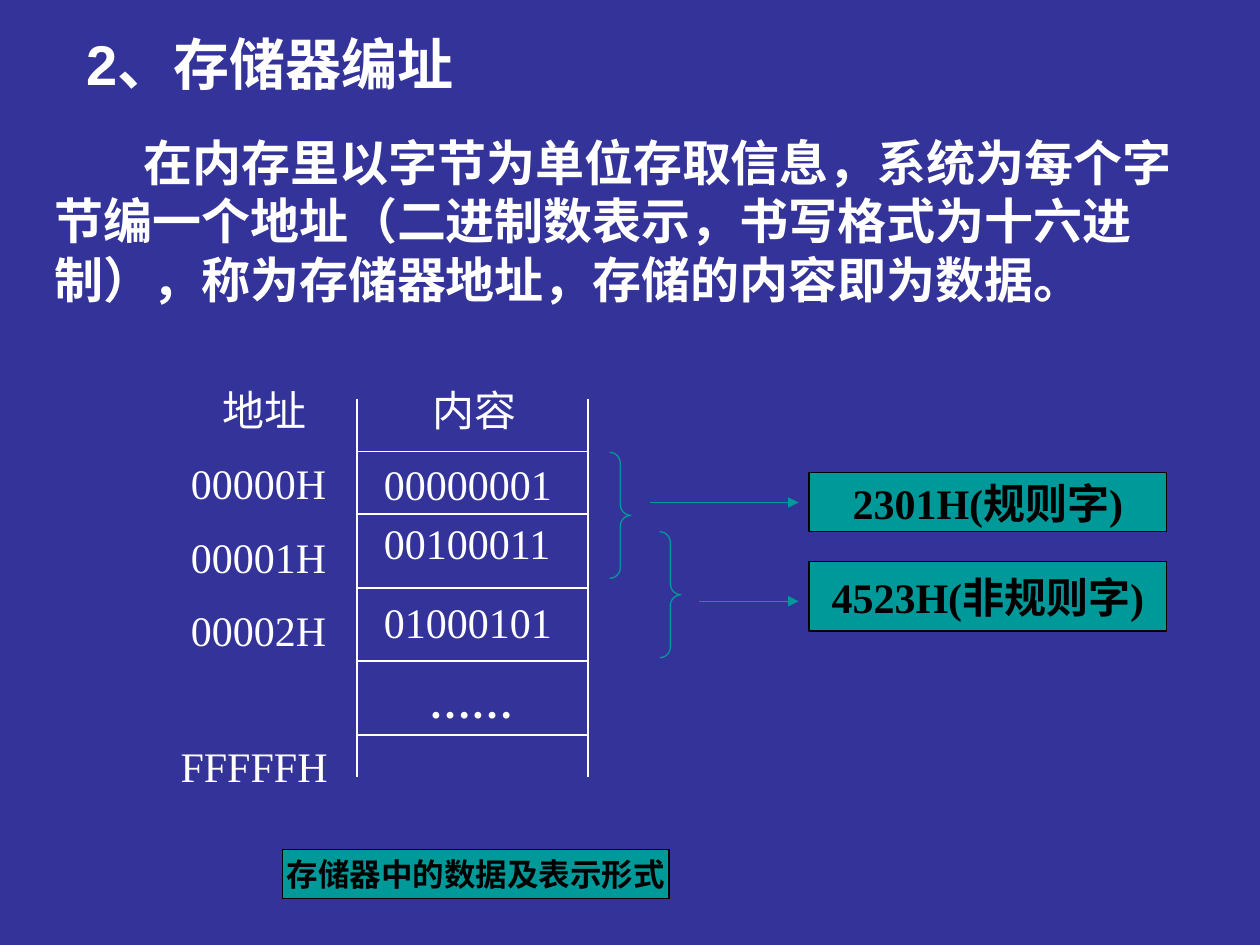
from lxml.etree import SubElement
from pptx import Presentation
from pptx.dml.color import RGBColor
from pptx.enum.shapes import MSO_CONNECTOR as Link, MSO_SHAPE as Preset
from pptx.enum.text import MSO_ANCHOR as Anchor, PP_ALIGN as Align
from pptx.oxml.ns import qn
from pptx.util import Cm, Pt

COLORS = {"back": "333399", "light": "FFFFFF", "dark": "000000", "teal": "009999"}
TITLE = "2、存储器编址"
BODY = ("在内存里以字节为单位存取信息，系统为每个字节编一个地址（二进制数表示，"
        "书写格式为十六进制），称为存储器地址，存储的内容即为数据。")

# All places are in centimetres.
HEADINGS = [("地址", 4.23), ("内容", 8.47)]
ADDRESSES = ["00000H", "00001H", "00002H"]
LAST_ADDRESS = "FFFFFH"
CONTENTS = [("00000001", 9.12), ("00100011", 10.31), ("01000101", 11.91)]
ELLIPSIS = ("……", 13.51)
LABELS = [  # text, left, top, width, height, size
    ("存储器中的数据及表示形式", 5.69, 17.12, 7.8, 1, 18),
    ("2301H(规则字)", 16.31, 9.53, 7.21, 1.19, 24),
    ("4523H(非规则字)", 16.31, 11.32, 7.21, 1.4, 24),
]
BRACES = [(12.29, 9.12), (13.3, 10.72)]
ARROWS = [(13.1, 10.13), (14.1, 12.12)]  # start, height on the slide
ARROW_END = 16.1

MEMORY_LEFT, MEMORY_RIGHT = 7.2, 11.85
MEMORY_TOP, MEMORY_BOTTOM = 8.05, 15.67
FIRST_RULE, ROW_STEP = 9.1, 1.48
RULES = [FIRST_RULE] + [10.37 + ROW_STEP * row for row in range(4)]


def color(name):
    return RGBColor.from_string(COLORS[name])


def write(shape, text, size=24, font="Times New Roman", ink="light", bold=False,
          align=Align.LEFT, anchor=Anchor.TOP, wrap=True, indent=0):
    frame = shape.text_frame
    frame.word_wrap = wrap
    frame.vertical_anchor = anchor
    para = frame.paragraphs[0]
    para.alignment = align
    para.space_before = Pt(0)
    if indent:
        properties = para._p.get_or_add_pPr()
        properties.set("marL", "0")
        properties.set("indent", str(Cm(indent)))
    span = para.add_run()
    span.text = text
    span.font.size = Pt(size)
    span.font.name = font
    span.font.bold = bold
    span.font.color.rgb = color(ink)


def add_text(slide, text, left, top, width, height=1.27, **look):
    box = slide.shapes.add_textbox(Cm(left), Cm(top), Cm(width), Cm(height))
    write(box, text, **look)


def add_line(slide, start, end, ink="light", width=1, arrow=False):
    line = slide.shapes.add_connector(
        Link.STRAIGHT, *(Cm(place) for place in (*start, *end)))
    line.line.color.rgb = color(ink)
    line.line.width = Pt(width)
    if arrow:
        SubElement(line.line._get_or_add_ln(), qn("a:tailEnd"), type="triangle")
    SubElement(line._element.spPr, qn("a:effectLst"))


def add_preset(slide, preset, left, top, width, height, ink):
    shape = slide.shapes.add_shape(preset, Cm(left), Cm(top), Cm(width), Cm(height))
    shape.shadow.inherit = False
    shape.line.color.rgb = color(ink)
    shape.line.width = Pt(0.75)
    return shape


def add_memory(slide):
    """Draw the open-ended memory column with its addresses and contents."""
    for text, left in HEADINGS:
        add_text(slide, text, left, 7.62, 3.18)
    for side in (MEMORY_LEFT, MEMORY_RIGHT):
        add_line(slide, (side, MEMORY_TOP), (side, MEMORY_BOTTOM))
    for rule in RULES:
        add_line(slide, (MEMORY_LEFT, rule), (MEMORY_RIGHT, rule))
    for row, address in enumerate(ADDRESSES):
        add_text(slide, address, 3.6, FIRST_RULE + ROW_STEP * row, 4.02)
    add_text(slide, LAST_ADDRESS, 3.39, RULES[-1], 4.02)
    for text, top in CONTENTS:
        add_text(slide, text, 7.49, top, 4.02)
    text, top = ELLIPSIS
    add_text(slide, text, 7.49, top, 4.02, bold=True, align=Align.CENTER)


def add_words(slide):
    """Draw the labels, and the braces and arrows that group bytes into words."""
    for text, left, top, width, height, size in LABELS:
        label = add_preset(slide, Preset.RECTANGLE, left, top, width, height, "dark")
        label.fill.solid()
        label.fill.fore_color.rgb = color("teal")
        write(label, text, size=size, ink="dark", bold=True, align=Align.CENTER,
              anchor=Anchor.MIDDLE, wrap=False)
    for left, top in BRACES:
        brace = add_preset(slide, Preset.RIGHT_BRACE, left, top, 0.43, 2.54, "teal")
        brace.adjustments[0] = 0.5
        brace.fill.background()
    for start, level in ARROWS:
        add_line(slide, (start, level), (ARROW_END, level), "teal", 0.75, arrow=True)


def main():
    deck = Presentation()
    deck.slide_width, deck.slide_height = Cm(25.4), Cm(19.05)
    page = deck.slides.add_slide(deck.slide_layouts[5])
    page.background.fill.solid()
    page.background.fill.fore_color.rgb = color("back")

    title = page.shapes.title
    title.left, title.top, title.width, title.height = Cm(1.48), Cm(0), Cm(21.59), Cm(2.54)
    write(title, TITLE, size=32, font="Arial", bold=True, anchor=Anchor.MIDDLE)
    add_text(page, BODY, 0.85, 2.54, 23.7, 5.5, size=28, font="Arial", bold=True, indent=1.8)
    add_memory(page)
    add_words(page)
    deck.save("out.pptx")


if __name__ == "__main__":
    main()
